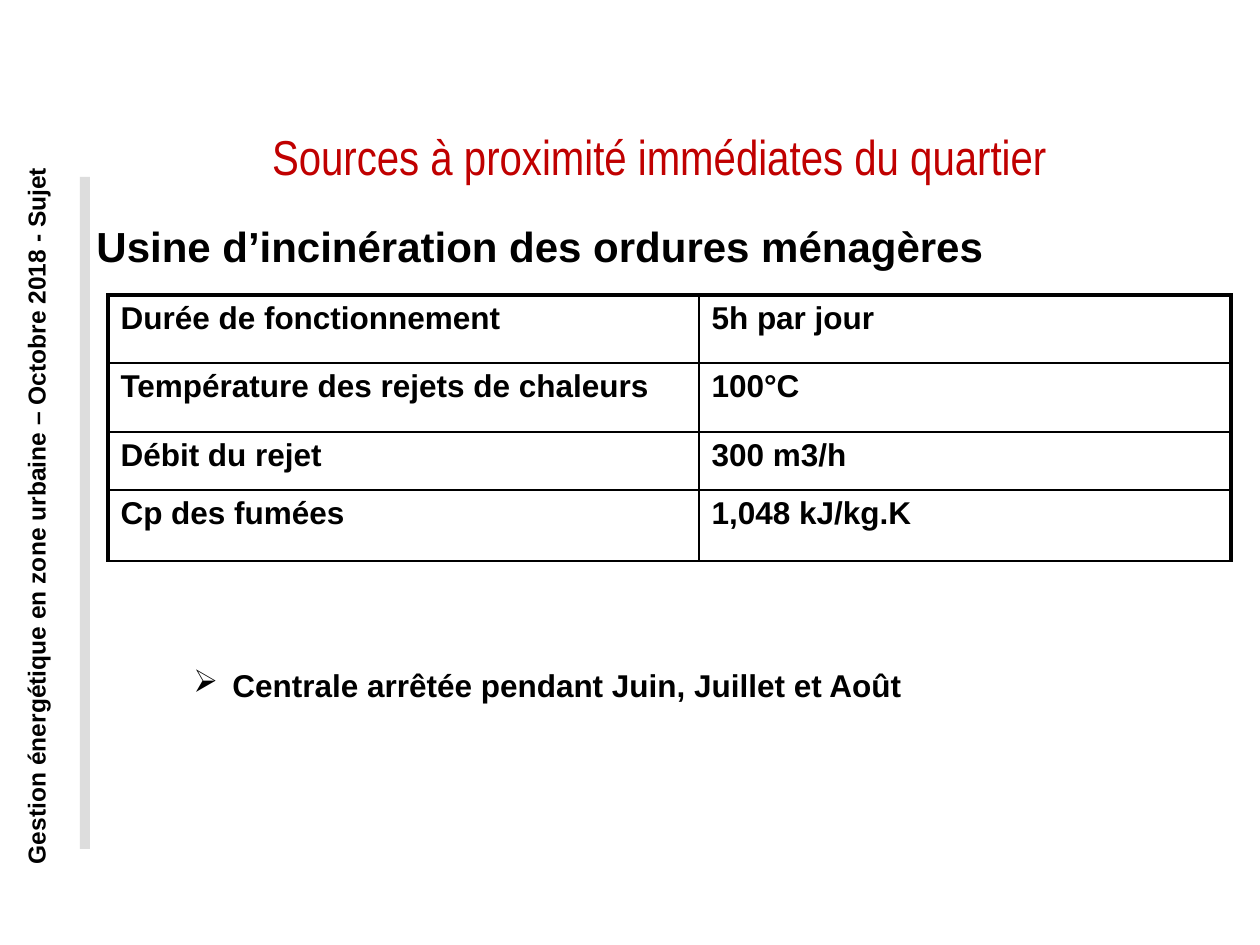
from lxml.etree import SubElement, Element
from pptx import Presentation
from pptx.dml.color import RGBColor
from pptx.enum.shapes import MSO_SHAPE as Shape
from pptx.enum.text import MSO_ANCHOR as Anchor, MSO_AUTO_SIZE as AutoSize, PP_ALIGN as Align
from pptx.oxml.ns import qn
from pptx.util import Emu, Pt

SCALE = 914400 / 126
COLORS = {"text": "000000", "title": "C00000", "bar": "DDDDDD", "border": "000000"}
THIN, THICK = 0.96, 2.21


def px(value):
    return Emu(round(value * SCALE))


class SlideBuilder:
    def __init__(self, presentation):
        self.slide = presentation.slides.add_slide(presentation.slide_layouts[5])
        self.style = {"name": "Arial", "size": Pt(18), "bold": True}

    def place(self, shape, box):
        for name, value in zip(("left", "top", "width", "height"), box):
            setattr(shape, name, px(value))

    def fill_text(self, frame, text, color="text", space=0, align=None, level=0, **font):
        paragraph = frame.paragraphs[0]
        values = {"space_before": Pt(space), "alignment": align, "level": level}
        for name, value in values.items():
            setattr(paragraph, name, value)
        run = paragraph.add_run()
        run.text = text
        for name, value in {**self.style, **font}.items():
            setattr(run.font, name, value)
        run.font.color.rgb = RGBColor.from_string(COLORS[color])
        return paragraph

    def title(self, box, text, **font):
        shape = self.slide.shapes.title
        self.place(shape, box)
        frame = shape.text_frame
        values = {"auto_size": AutoSize.NONE, "word_wrap": True,
                  "vertical_anchor": Anchor.MIDDLE}
        for name, value in values.items():
            setattr(frame, name, value)
        self.fill_text(frame, text, "title", align=Align.CENTER, **font)

    def text(self, box, text, rotation=0, indent=None, bullet=None, **options):
        shape = self.slide.shapes.add_textbox(*map(px, box))
        shape.rotation = rotation
        shape.text_frame.word_wrap = True
        paragraph = self.fill_text(shape.text_frame, text, **options)
        properties = paragraph._p.get_or_add_pPr()
        if indent:
            for name, value in zip(("marL", "indent"), indent):
                properties.set(name, str(px(value)))
        if bullet:
            color = SubElement(properties, qn("a:buClr"))
            SubElement(color, qn("a:srgbClr"), val=COLORS["text"])
            SubElement(properties, qn("a:buChar"), char=bullet)

    def bar(self, box, color):
        shape = self.slide.shapes.add_shape(Shape.RECTANGLE, *map(px, box))
        shape.shadow.inherit = False
        shape.fill.solid()
        shape.fill.fore_color.rgb = RGBColor.from_string(COLORS[color])
        shape.line.fill.background()

    def borders(self, cell, widths):
        properties = cell._tc.get_or_add_tcPr()
        for index, (side, width) in enumerate(widths.items()):
            line = Element(qn(f"a:ln{side}"), w=str(Pt(width)))
            fill = SubElement(line, qn("a:solidFill"))
            SubElement(fill, qn("a:srgbClr"), val=COLORS["border"])
            properties.insert(index, line)

    def table(self, left, top, widths, heights, rows, **options):
        box = left, top, sum(widths), sum(heights)
        table = self.slide.shapes.add_table(len(rows), len(widths), *map(px, box)).table
        table.first_row = table.horz_banding = False
        for column, width in zip(table.columns, widths):
            column.width = px(width)
        for row, height in zip(table.rows, heights):
            row.height = px(height)
        last = len(widths) - 1
        for row_index, row in enumerate(rows):
            for column_index, text in enumerate(row):
                cell = table.cell(row_index, column_index)
                cell.fill.background()
                self.fill_text(cell.text_frame, text, **options)
                self.borders(cell, {
                    "L": THICK if column_index == 0 else THIN,
                    "R": THICK if column_index == last else THIN,
                    "T": THICK if row_index == 0 else THIN,
                    "B": THIN,
                })


def main():
    presentation = Presentation()
    presentation.slide_width, presentation.slide_height = px(1260), px(945)
    builder = SlideBuilder(presentation)
    builder.text((-345, 495, 762, 42),
                 "Gestion énergétique en zone urbaine – Octobre 2018 - Sujet",
                 rotation=270, space=7, align=Align.CENTER, size=Pt(14))
    builder.bar((80, 177, 10, 672), "bar")
    builder.title((92, 116, 1134, 80), "Sources à proximité immédiates du quartier",
                  name="Arial Narrow", size=Pt(28), bold=False)
    builder.text((83, 214, 1143, 73), "Usine d’incinération des ordures ménagères",
                 indent=(48, -47), space=4.8, size=Pt(24))
    builder.table(108, 295, (591, 532), (68, 69, 58, 71), (
        ("Durée de fonctionnement", "5h par jour"),
        ("Température des rejets de chaleurs", "100°C"),
        ("Débit du rejet", "300 m3/h"),
        ("Cp des fumées", "1,048 kJ/kg.K"),
    ), space=3.6)
    builder.text((118, 660, 1066, 130), "Centrale arrêtée pendant Juin, Juillet et Août",
                 indent=(102, -39), bullet="➢", space=3.6, level=1)
    presentation.save("out.pptx")


if __name__ == "__main__":
    main()
